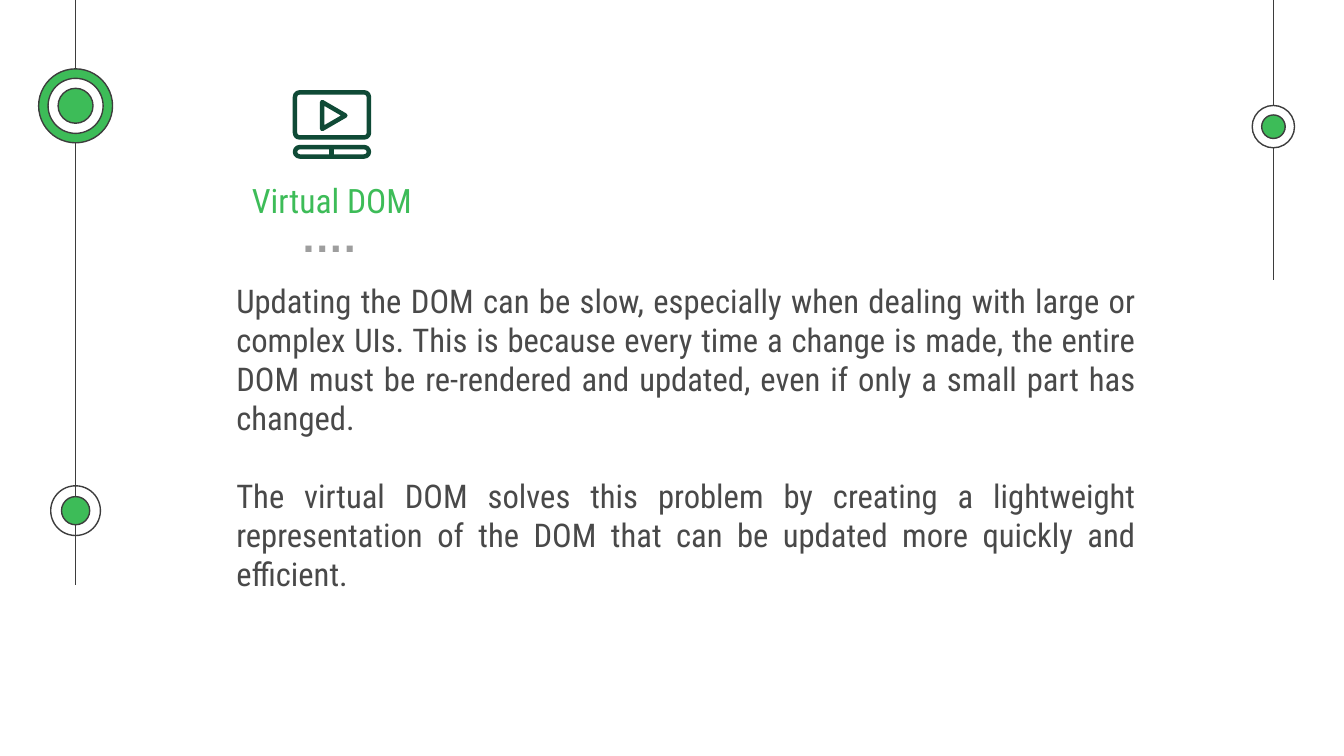
from typing import NamedTuple, Optional

from lxml import etree
from pptx import Presentation
from pptx import util as u
from pptx.dml.color import RGBColor
from pptx.enum import shapes, text
from pptx.oxml.ns import qn

EMU_PER_PX = 2286
SLIDE_WIDTH, SLIDE_HEIGHT = 4000, 2250
INSET = 40

WHITE = RGBColor(0xFF, 0xFF, 0xFF)
GREEN = RGBColor(0x3D, 0xBC, 0x58)
DARK_GREEN = RGBColor(0x0F, 0x4A, 0x36)
OUTLINE = RGBColor(0x3D, 0x3D, 0x3D)
BODY_GREY = RGBColor(0x49, 0x49, 0x49)
DOT_GREY = RGBColor(0x9E, 0x9E, 0x9E)

THIN, THICK = 0.75, 2.4
LEFT_RAIL, RIGHT_RAIL = 225, 3790


class Stroke(NamedTuple):
    x: int
    top: int
    bottom: int
    color: RGBColor
    width: float


class Disc(NamedTuple):
    x: int
    y: int
    diameter: int
    fill: Optional[RGBColor]


class Panel(NamedTuple):
    left: int
    top: int
    width: int
    height: int
    rounding: float


class Label(NamedTuple):
    left: int
    top: int
    width: int
    height: int
    wording: str
    alignment: text.PP_ALIGN
    font: dict
    color: RGBColor


STROKES = [
    Stroke(LEFT_RAIL, 0, 1740, OUTLINE, THIN),
    Stroke(RIGHT_RAIL, 0, 832, OUTLINE, THIN),
    Stroke(986, 440, 464, DARK_GREEN, THICK),
]

DISCS = [
    Disc(LEFT_RAIL, 1520, 148, None),
    Disc(LEFT_RAIL, 1520, 84, GREEN),
    Disc(RIGHT_RAIL, 377, 126, WHITE),
    Disc(RIGHT_RAIL, 377, 70, GREEN),
    Disc(LEFT_RAIL, 315, 220, GREEN),
    Disc(LEFT_RAIL, 315, 164, WHITE),
    Disc(LEFT_RAIL, 315, 104, GREEN),
]

PANELS = [
    Panel(878, 275, 220, 134, 0.1),
    Panel(878, 438, 220, 28, 0.5),
]
PLAY_CORNERS = [(959, 304), (1028, 344), (959, 384)]

HEADING_FONT = {"name": "Roboto Condensed", "size": u.Pt(18)}
BODY_FONT = {"name": "Roboto Condensed", "size": u.Pt(17.5)}
DOT_FONT = {"name": "Arial", "size": u.Pt(23), "bold": True}

LABELS = [
    Label(484, 496, 1008, 144, "Virtual DOM",
          text.PP_ALIGN.CENTER, HEADING_FONT, GREEN),
    Label(856, 584, 260, 236, "….", text.PP_ALIGN.LEFT, DOT_FONT, DOT_GREY),
    Label(664, 796, 2760, 456,
          "Updating the DOM can be slow, especially when dealing with large or "
          "complex UIs. This is because every time a change is made, the entire "
          "DOM must be re-rendered and updated, even if only a small part has "
          "changed.",
          text.PP_ALIGN.JUSTIFY, BODY_FONT, BODY_GREY),
    Label(664, 1376, 2760, 532,
          "The virtual DOM solves this problem by creating a lightweight "
          "representation of the DOM that can be updated more quickly and "
          "efficient.",
          text.PP_ALIGN.JUSTIFY, BODY_FONT, BODY_GREY),
]


def px(length: int) -> u.Emu:
    return u.Emu(length * EMU_PER_PX)


def set_all(target, values: dict) -> None:
    for name, value in values.items():
        setattr(target, name, value)


def paint(shape, fill: Optional[RGBColor], color: RGBColor, width: float) -> None:
    shape.shadow.inherit = False
    if fill is None:
        shape.fill.background()
    else:
        shape.fill.solid()
        shape.fill.fore_color.rgb = fill
    shape.line.color.rgb = color
    shape.line.width = u.Pt(width)
    etree.SubElement(shape.line._get_or_add_ln(), qn("a:round"))


def draw_stroke(slide, stroke: Stroke) -> None:
    connector = slide.shapes.add_connector(
        shapes.MSO_CONNECTOR.STRAIGHT,
        px(stroke.x), px(stroke.top), px(stroke.x), px(stroke.bottom))
    connector.line.color.rgb = stroke.color
    connector.line.width = u.Pt(stroke.width)
    etree.SubElement(connector._element.spPr, qn("a:effectLst"))


def draw_disc(slide, disc: Disc) -> None:
    radius = disc.diameter // 2
    shape = slide.shapes.add_shape(
        shapes.MSO_SHAPE.OVAL, px(disc.x - radius), px(disc.y - radius),
        px(disc.diameter), px(disc.diameter))
    paint(shape, disc.fill, OUTLINE, THIN)


def draw_panel(slide, panel: Panel) -> None:
    shape = slide.shapes.add_shape(
        shapes.MSO_SHAPE.ROUNDED_RECTANGLE, px(panel.left), px(panel.top),
        px(panel.width), px(panel.height))
    shape.adjustments[0] = panel.rounding
    paint(shape, None, DARK_GREEN, THICK)


def draw_play_sign(slide, corners: list[tuple[int, int]]) -> None:
    builder = slide.shapes.build_freeform(*corners[0], scale=EMU_PER_PX)
    builder.add_line_segments(corners[1:], close=True)
    paint(builder.convert_to_shape(), None, DARK_GREEN, THICK)


def draw_label(slide, label: Label) -> None:
    box = slide.shapes.add_textbox(
        px(label.left), px(label.top), px(label.width), px(label.height))
    frame = box.text_frame
    set_all(frame, {
        "word_wrap": True,
        "vertical_anchor": text.MSO_ANCHOR.TOP,
        "margin_left": px(INSET),
        "margin_right": px(INSET),
        "margin_top": px(INSET),
        "margin_bottom": px(INSET),
    })
    paragraph = frame.paragraphs[0]
    paragraph.alignment = label.alignment
    run = paragraph.add_run()
    run.text = label.wording
    set_all(run.font, label.font)
    run.font.color.rgb = label.color


def main() -> None:
    presentation = Presentation()
    set_all(presentation, {
        "slide_width": px(SLIDE_WIDTH),
        "slide_height": px(SLIDE_HEIGHT),
    })
    slide = presentation.slides.add_slide(presentation.slide_layouts[6])
    for stroke in STROKES:
        draw_stroke(slide, stroke)
    for disc in DISCS:
        draw_disc(slide, disc)
    for panel in PANELS:
        draw_panel(slide, panel)
    draw_play_sign(slide, PLAY_CORNERS)
    for label in LABELS:
        draw_label(slide, label)
    presentation.save("out.pptx")


if __name__ == "__main__":
    main()
